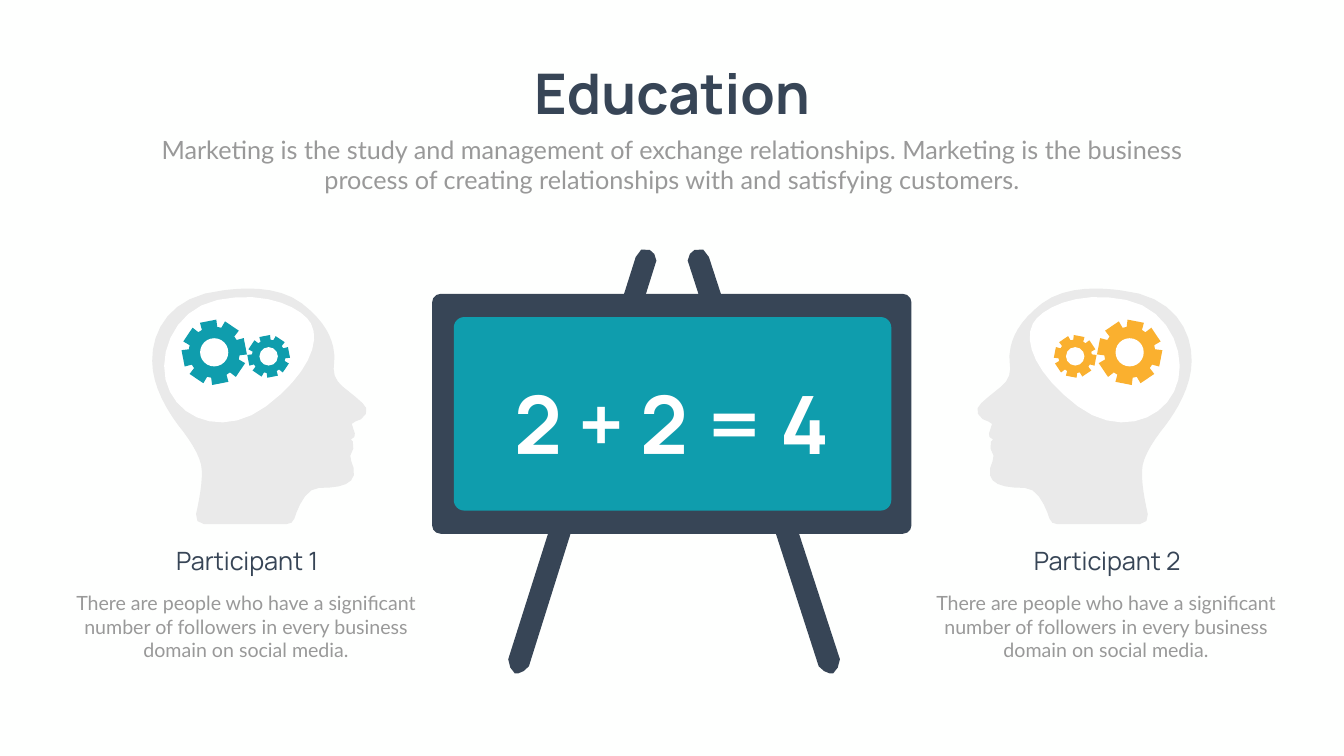
from math import cos, dist, radians, sin

from pptx import Presentation
from pptx.dml.color import RGBColor
from pptx.enum.shapes import MSO_SHAPE
from pptx.enum.text import MSO_ANCHOR, PP_ALIGN
from pptx.util import Inches, Pt

WIDTH, HEIGHT = 26.66, 15
NAVY, TEAL, AMBER = "374556", "0F9DAD", "FAB02F"
GREY, PALE, WHITE = "999999", "EAEAEA", "FFFFFF"
TITLE = {"name": "Manrope", "size": Pt(80), "bold": True}
SUBTITLE = {"name": "Lato", "size": Pt(36)}
EQUATION = {"name": "Manrope", "size": Pt(115), "bold": True}
NAME = {"name": "Manrope", "size": Pt(36)}
BODY = {"name": "Lato", "size": Pt(28)}
INTRO = ("Marketing is the study and management of exchange relationships. Marketing is "
         "the business process of creating relationships with and satisfying customers.")
ABOUT = ("There are people who have a significant number of followers in every business "
         "domain on social media.")

HEAD_VIEW = (428, 472)
HEAD = [(57, 276), (36, 248, 5, 199, 5, 148), (4, 89, 40, 18, 146, 8),
        (178, 4, 252, -4, 302, 34), (343, 66, 358, 94, 364, 120),
        (371, 148, 361, 158, 367, 177), (373, 195, 388, 202, 409, 220),
        (425, 234, 434, 240, 429, 253), (422, 269, 404, 266, 401, 273),
        (405, 286), (407, 292), (406, 299), (399, 304), (403, 308),
        (406, 311, 408, 318, 404, 322), (402, 325, 399, 328, 398, 336),
        (396, 344, 409, 361, 405, 375), (400, 395, 373, 400, 336, 400),
        (308, 400, 292, 445, 287, 461), (285, 468, 279, 472, 271, 472),
        (108, 472), (97, 472, 89, 462, 92, 452), (99, 421, 107, 378, 102, 354),
        (97, 331, 78, 302, 57, 276)]
BRAIN = [(320, 74), (340, 111, 313, 176, 231, 238), (155, 295, 70, 270, 40, 209),
         (9, 149, 42, 46, 135, 27), (237, 6, 306, 47, 320, 74)]
GEARS = [(236, 139, 42.5), (128, 131, 65)]
LEG_VIEW = (294, 847)
LEG = [(20, 847), (13, 847), (7, 840, 0, 833, 0, 819), (253, 21),
       (259, 7, 267, 0, 281, 7), (287, 7, 294, 21, 294, 28), (41, 833),
       (34, 840, 27, 847, 20, 847)]


def color(value):
    """Turn a hex string into a colour."""
    return RGBColor.from_string(value)


def part(box, left, top, width, height):
    """Return the part of a box given in percent of its size."""
    x, y, w, h = box
    return x + w * left / 100, y + h * top / 100, w * width / 100, h * height / 100


def paint(sp, fill):
    """Give a shape a plain fill without line or shadow."""
    sp.shadow.inherit = False
    sp.fill.solid()
    sp.fill.fore_color.rgb = color(fill)
    sp.line.fill.background()


def add_text(s, box, text, font, fill):
    """Add a centred text box."""
    tf = s.shapes.add_textbox(*map(Inches, box)).text_frame
    tf.word_wrap = True
    tf.vertical_anchor = MSO_ANCHOR.TOP
    p = tf.paragraphs[0]
    p.alignment = PP_ALIGN.CENTER
    r = p.add_run()
    r.text = text
    for key, value in font.items():
        setattr(r.font, key, value)
    r.font.color.rgb = color(fill)


def add_panel(s, box, fill, radius):
    """Add a rounded panel with a corner radius in inches."""
    sp = s.shapes.add_shape(MSO_SHAPE.ROUNDED_RECTANGLE, *map(Inches, box))
    sp.adjustments[0] = radius / min(box[2:])
    paint(sp, fill)


def trace(segments):
    """Turn points and cubic curves into points, more of them on longer curves."""
    points = [segments[0]]
    for segment in segments[1:]:
        start = points[-1]
        steps = min(8, 1 + int(dist(start, segment[-2:]) / 16))
        if len(segment) == 2:
            points.append(segment)
            continue
        for i in range(1, steps + 1):
            t = i / steps
            u = 1 - t
            points.append(tuple(
                u**3 * start[k] + 3 * u * u * t * segment[k]
                + 3 * u * t * t * segment[k + 2] + t**3 * segment[k + 4]
                for k in (0, 1)))
    return points


def gear_rim(cx, cy, radius, teeth=8, tilt=-11):
    """Return the points of a toothed rim."""
    profile = [(0.78, -17.8), (1, -14.7), (1, 14.7), (0.78, 17.8)]
    rim = [(radius * share, radians(tilt + 360 / teeth * i + turn))
           for i in range(teeth) for share, turn in profile]
    return [(cx + reach * cos(turn), cy + reach * sin(turn)) for reach, turn in rim]


def add_outline(s, box, view, points, fill, flip=False):
    """Draw a closed outline scaled from a view to a box."""
    x, y, w, h = box
    placed = [(Inches(x + w * (view[0] - px if flip else px) / view[0]),
               Inches(y + h * py / view[1])) for px, py in points]
    builder = s.shapes.build_freeform(*placed[0])
    builder.add_line_segments(placed[1:], close=True)
    paint(builder.convert_to_shape(), fill)


def add_gear(s, head, place, fill, flip):
    """Draw a gear with a round centre inside a head."""
    add_outline(s, head, HEAD_VIEW, gear_rim(*place), fill, flip)
    cx, cy, radius = place
    x, y, w, h = head
    unit = w / HEAD_VIEW[0]
    hub = 0.43 * radius
    left = (HEAD_VIEW[0] - cx if flip else cx) - hub
    hole = (x + left * unit, y + (cy - hub) * unit, 2 * hub * unit, 2 * hub * unit)
    paint(s.shapes.add_shape(MSO_SHAPE.OVAL, *map(Inches, hole)), WHITE)


def add_header(s, box):
    """Place the title and the introduction."""
    add_text(s, part(box, 35.54, 0, 28.96, 51.79), "Education", TITLE, NAVY)
    add_text(s, part(box, 0, 53.21, 100, 46.79), INTRO, SUBTITLE, GREY)


def add_board(s, box):
    """Place the easel legs, the board and the equation."""
    for left, width, flip in [(15.88, 30.91, False), (53.31, 31.76, True)]:
        add_outline(s, part(box, left, 0, width, 100), LEG_VIEW, trace(LEG), NAVY, flip)
    add_panel(s, part(box, 0, 11.1, 100, 56.2), NAVY, 0.17)
    add_panel(s, part(box, 4.52, 16.53, 91.27, 45.34), TEAL, 0.21)
    add_text(s, part(box, 10.3, 29.4, 79.5, 23.02), "2 + 2 = 4", EQUATION, WHITE)


def add_participant(s, box, name, fill, head_left, flip):
    """Place a head with gears above a name and a description."""
    head = part(box, head_left, 0, 61.32, 62.85)
    for segments, tone in [(HEAD, PALE), (BRAIN, WHITE)]:
        add_outline(s, head, HEAD_VIEW, trace(segments), tone, flip)
    for place in GEARS:
        add_gear(s, head, place, fill, flip)
    add_text(s, part(box, 12.03, 67.64, 76.65, 9.45), name, NAME, NAVY)
    add_text(s, part(box, 0, 79.89, 100, 20.11), ABOUT, BODY, GREY)


def main():
    """Build the slide and save it."""
    prs = Presentation()
    prs.slide_width, prs.slide_height = Inches(WIDTH), Inches(HEIGHT)
    s = prs.slides.add_slide(prs.slide_layouts[6])
    s.background.fill.solid()
    s.background.fill.fore_color.rgb = color("FEFFFE")
    page = (0, 0, WIDTH, HEIGHT)
    add_header(s, part(page, 10.95, 7.47, 78.09, 18.67))
    add_board(s, part(page, 32.15, 32.6, 35.67, 56.47))
    for left, *details in [(5.21, "Participant 1", TEAL, 22.64, False),
                           (69.2, "Participant 2", AMBER, 13.75, True)]:
        add_participant(s, part(page, left, 37.87, 26.18, 50.07), *details)
    prs.save("out.pptx")


if __name__ == "__main__":
    main()
